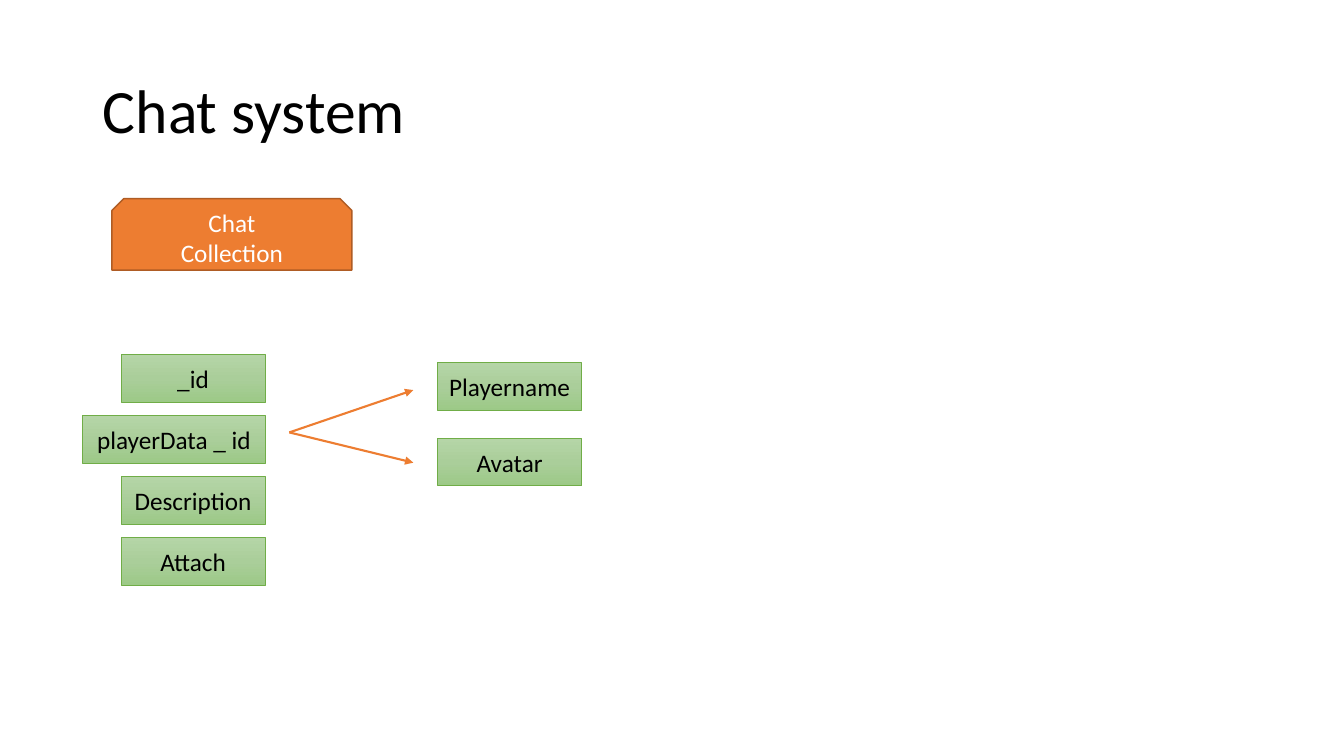
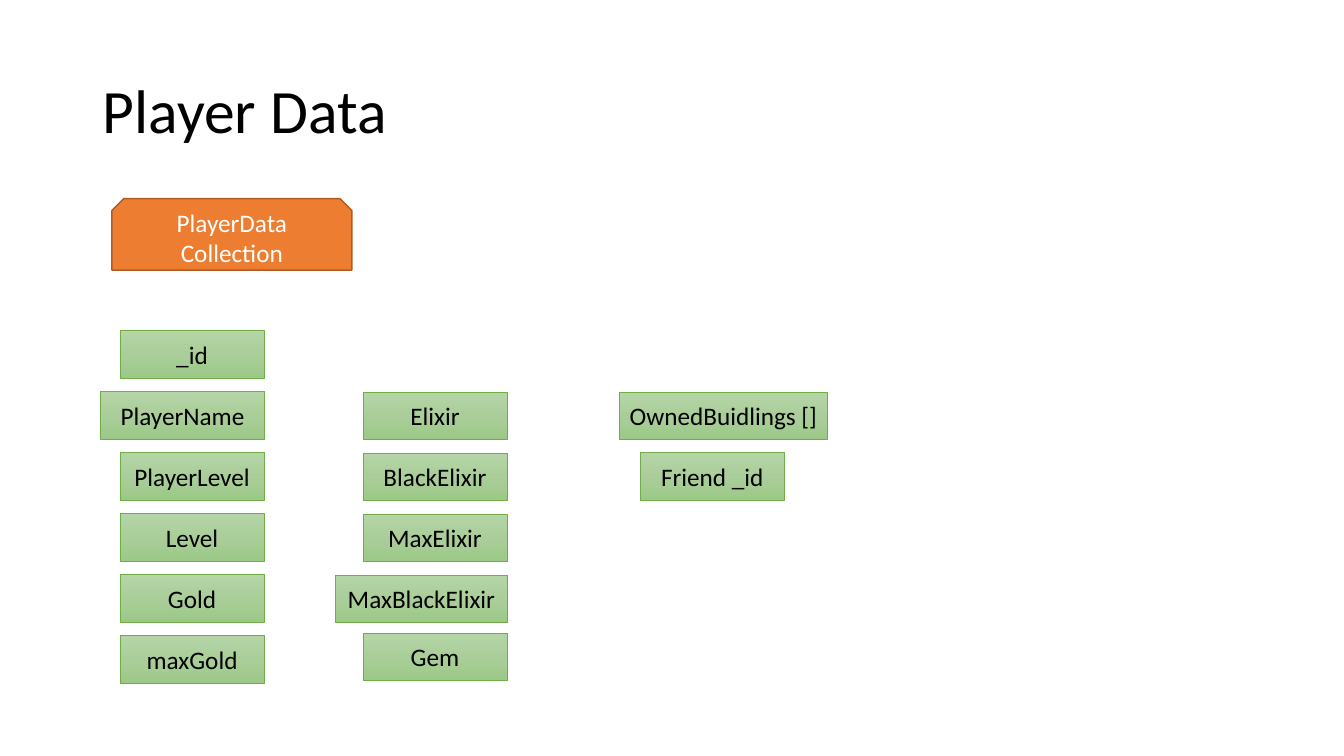
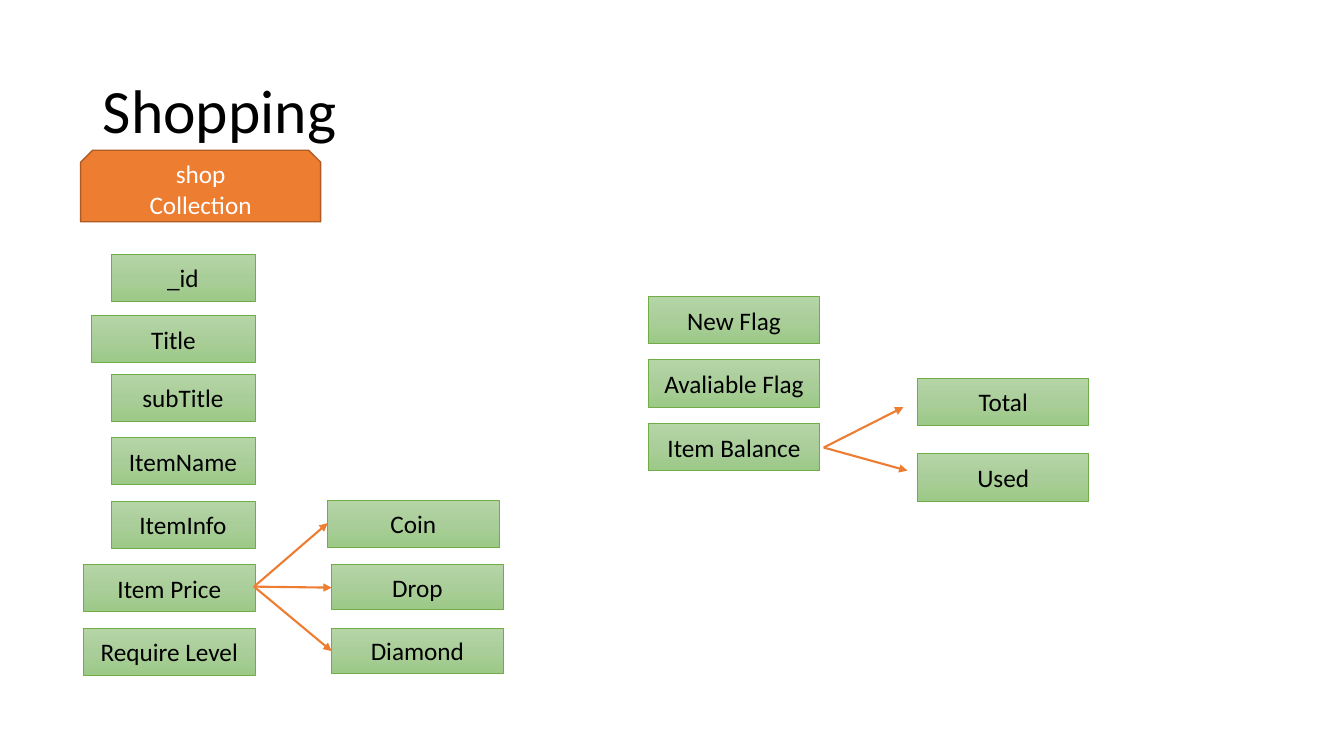
from copy import deepcopy

from lxml import etree
from pptx import Presentation
from pptx.dml.color import RGBColor
from pptx.enum.shapes import MSO_CONNECTOR, MSO_SHAPE
from pptx.enum.text import MSO_ANCHOR, MSO_AUTO_SIZE, PP_ALIGN
from pptx.oxml.ns import qn
from pptx.util import Inches, Pt

RECTANGLE = MSO_SHAPE.RECTANGLE
SNIPPED = MSO_SHAPE.SNIP_2_SAME_RECTANGLE
STRAIGHT = MSO_CONNECTOR.STRAIGHT
MIDDLE = MSO_ANCHOR.MIDDLE
NO_AUTOFIT = MSO_AUTO_SIZE.NONE
LEFT, CENTER = PP_ALIGN.LEFT, PP_ALIGN.CENTER

BLACK = RGBColor(0x00, 0x00, 0x00)
WHITE = RGBColor(0xFF, 0xFF, 0xFF)
ORANGE = RGBColor(0xED, 0x7D, 0x31)
DARK_ORANGE = RGBColor(0xAF, 0x5C, 0x24)
GREEN = RGBColor(0x70, 0xAD, 0x47)
GREEN_STOPS = (
    (0, RGBColor(0xB5, 0xD5, 0xA7)),
    (0.5, RGBColor(0xAA, 0xCE, 0x9A)),
    (1, RGBColor(0x9C, 0xC9, 0x87)),
)
FONT = "Calibri"
TITLE_ONLY = 5
FIELD_WIDTH, FIELD_HEIGHT, WIDE_FIELD = 1.43, 0.47, 1.7


class Deck:
    """Holds the shared style and the current slide; lengths are in inches."""

    def __init__(self):
        self.presentation = Presentation()
        self.presentation.slide_width = Inches(13.33)
        self.presentation.slide_height = Inches(7.5)
        self.slide = None

    def add_text(self, paragraph, text, size, color, alignment):
        paragraph.alignment = alignment
        run = paragraph.add_run()
        run.text = text
        run.font.name = FONT
        run.font.size = Pt(size)
        run.font.color.rgb = color

    def add_slide(self, title):
        layout = self.presentation.slide_layouts[TITLE_ONLY]
        self.slide = self.presentation.slides.add_slide(layout)
        shape = self.slide.shapes.title
        shape.left, shape.top = Inches(0.92), Inches(0.4)
        shape.width, shape.height = Inches(11.5), Inches(1.45)
        frame = shape.text_frame
        frame.word_wrap = True
        frame.auto_size = NO_AUTOFIT
        frame.vertical_anchor = MIDDLE
        paragraph = frame.paragraphs[0]
        paragraph.line_spacing = 0.9
        self.add_text(paragraph, title, 44, BLACK, LEFT)

    def box(self, kind, left, top, width, height, lines, color):
        shape = self.slide.shapes.add_shape(
            kind, Inches(left), Inches(top), Inches(width), Inches(height))
        shape.shadow.inherit = False
        frame = shape.text_frame
        frame.word_wrap = True
        frame.vertical_anchor = MIDDLE
        for index, line in enumerate(lines):
            paragraph = frame.add_paragraph() if index else frame.paragraphs[0]
            self.add_text(paragraph, line, 18, color, CENTER)
        return shape

    def collection(self, left, top, name):
        shape = self.box(SNIPPED, left, top, 2.38, 0.71,
                         (name, "Collection"), WHITE)
        shape.fill.solid()
        shape.fill.fore_color.rgb = ORANGE
        shape.line.color.rgb = DARK_ORANGE
        shape.line.width = Pt(1)

    def field(self, left, top, text, width=FIELD_WIDTH, height=FIELD_HEIGHT):
        shape = self.box(RECTANGLE, left, top, width, height, (text,), BLACK)
        shape.fill.gradient()
        shape.fill.gradient_angle = 270
        # The default gradient has two stops; add the middle one
        stop_list = shape.element.spPr.find(".//" + qn("a:gsLst"))
        stop_list.insert(1, deepcopy(stop_list[0]))
        for stop, (position, color) in zip(shape.fill.gradient_stops, GREEN_STOPS):
            stop.position = position
            stop.color.rgb = color
        shape.line.color.rgb = GREEN
        shape.line.width = Pt(0.5)

    def column(self, right, top, step, names, width=FIELD_WIDTH, widths=None):
        """Stack fields on a shared right edge; widths lists the exceptions."""
        for row, name in enumerate(names):
            field_width = (widths or {}).get(name, width)
            self.field(right - field_width, top + row * step, name, field_width)

    def arrows(self, start, ends):
        for end in ends:
            connector = self.slide.shapes.add_connector(
                STRAIGHT, *(Inches(value) for value in (*start, *end)))
            connector.line.color.rgb = ORANGE
            connector.line.width = Pt(1.5)
            properties = connector.element.spPr
            line = properties.find(qn("a:ln"))
            etree.SubElement(line, qn("a:tailEnd"), type="triangle")
            etree.SubElement(properties, qn("a:effectLst"))


deck = Deck()

# Chat system
deck.add_slide("Chat system")
deck.column(2.63, 3.52, 0.605,
            ("_id", "playerData _ id", "Description", "Attach"),
            widths={"playerData _ id": 1.81})
deck.collection(1.11, 1.97, "Chat")
deck.arrows((2.87, 4.29), ((4.1, 3.87), (4.1, 4.59)))
deck.column(5.77, 3.6, 0.75, ("Playername", "Avatar"))

# Player data
deck.add_slide("Player Data")
deck.collection(1.11, 1.97, "PlayerData")
deck.column(2.62, 3.28, 0.605,
            ("_id", "PlayerName", "PlayerLevel", "Level", "Gold", "maxGold"),
            widths={"PlayerName": 1.62})
deck.column(5.03, 3.89, 0.605,
            ("Elixir", "BlackElixir", "MaxElixir", "MaxBlackElixir"),
            widths={"MaxBlackElixir": WIDE_FIELD})
deck.field(3.6, 6.28, "Gem")
deck.field(6.14, 3.89, "OwnedBuidlings []", 2.07)
deck.field(6.35, 4.49, "Friend _id")

# Shopping: item fields
deck.add_slide("Shopping")
deck.collection(0.8, 1.49, "shop")
deck.column(2.53, 2.52, 0.61, ("_id", "Title"), widths={"Title": 1.62})
deck.column(2.53, 3.71, 0.63,
            ("subTitle", "ItemName", "ItemInfo", "Item Price", "Require Level"),
            widths={"Item Price": WIDE_FIELD, "Require Level": WIDE_FIELD})

# Shopping: price currencies
deck.field(3.25, 4.96, "Coin", WIDE_FIELD)
deck.field(3.29, 5.6, "Drop", WIDE_FIELD, 0.45)
deck.field(3.29, 6.23, "Diamond", WIDE_FIELD, 0.45)
deck.arrows((2.52, 5.82), ((3.25, 5.19), (3.29, 5.83), (3.29, 6.46)))

# Shopping: flags and balance
deck.column(8.13, 2.94, 0.63, ("New Flag", "Avaliable Flag", "Item Balance"),
            WIDE_FIELD)
deck.arrows((8.17, 4.44), ((8.96, 4.04), (9, 4.67)))
deck.column(10.8, 3.75, 0.75, ("Total", "Used"), WIDE_FIELD)

deck.presentation.save("out.pptx")
